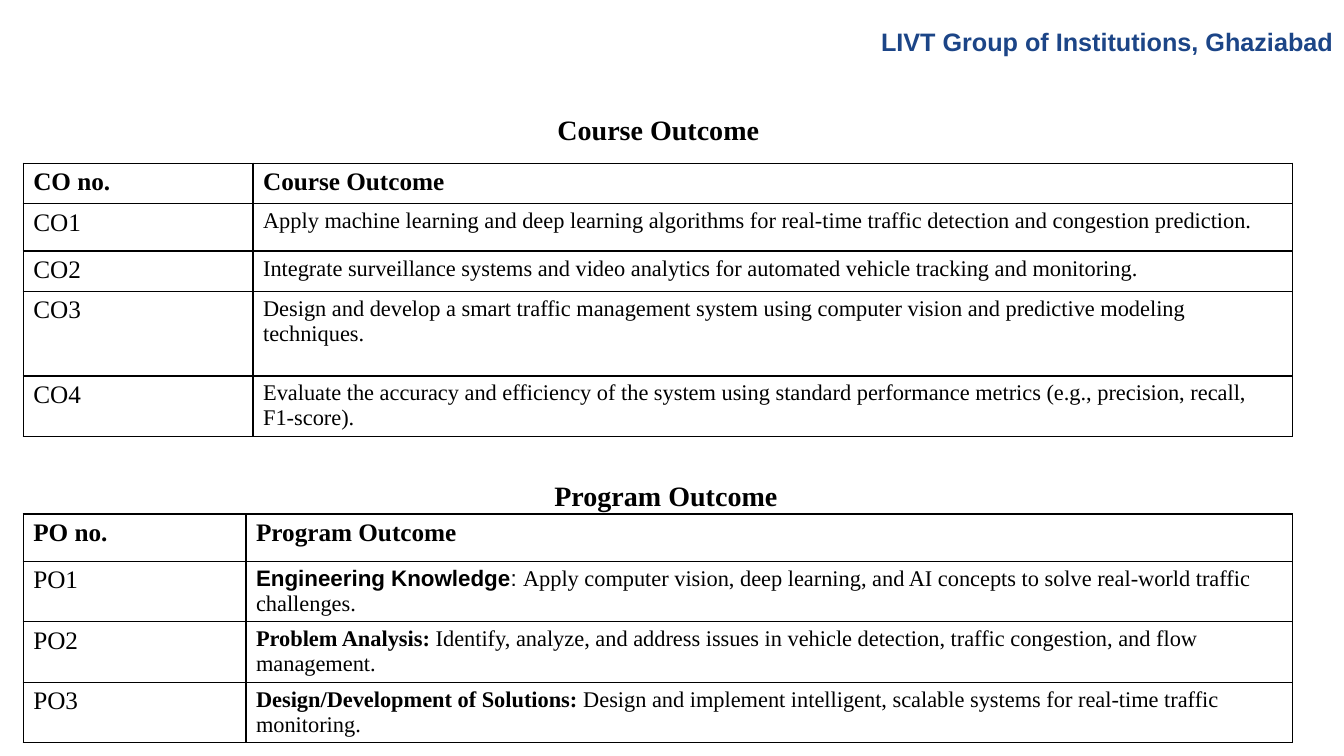
from lxml import etree
from pptx import Presentation
from pptx import util as u
from pptx.dml.color import RGBColor
from pptx.enum import text
from pptx.oxml.ns import qn

COLORS = {"ink": "000000", "paper": "FFFFFF", "brand": "1C4587"}
SERIF, SANS = "Times New Roman", "Arial"
TABLE_LEFT, TABLE_WIDTH = 0.23, 12.59

COURSE_ROWS = [
    ("CO1", [("Apply machine learning and deep learning algorithms for real-time "
              "traffic detection and congestion prediction.", {})]),
    ("CO2", [("Integrate surveillance systems and video analytics for automated "
              "vehicle tracking and monitoring.", {})]),
    ("CO3", [("Design and develop a smart traffic management system using computer "
              "vision and predictive modeling techniques.", {})]),
    ("CO4", [("Evaluate the accuracy and efficiency of the system using standard "
              "performance metrics (e.g., precision, recall, F1-score).", {})]),
]
PROGRAM_ROWS = [
    ("PO1", [("Engineering Knowledge", {"bold": True, "font": SANS}),
             (": ", {"font": SANS}),
             ("Apply computer vision, deep learning, and AI concepts to solve "
              "real-world traffic challenges.", {})]),
    ("PO2", [("Problem Analysis: ", {"bold": True}),
             ("Identify, analyze, and address issues in vehicle detection, traffic "
              "congestion, and flow management.", {})]),
    ("PO3", [("Design/Development of Solutions: ", {"bold": True}),
             ("Design and implement intelligent, scalable systems for real-time "
              "traffic monitoring.", {})]),
]


def add_run(p, words, size, bold=False, font=SERIF, color="ink"):
    r = p.add_run()
    r.text = words
    r.font.size, r.font.bold, r.font.name = u.Pt(size), bold, font
    r.font.color.rgb = RGBColor.from_string(COLORS[color])


def place_text(sp, box, words, align, **style):
    sp.left, sp.top, sp.width, sp.height = (u.Inches(v) for v in box)
    tf = sp.text_frame
    tf.word_wrap = True
    tf.auto_size = text.MSO_AUTO_SIZE.NONE
    tf.vertical_anchor = text.MSO_ANCHOR.TOP
    p = tf.paragraphs[0]
    p.alignment = align
    p.line_spacing = 1.0
    p.space_before = u.Pt(0)
    add_run(p, words, bold=True, **style)


def add_borders(cell):
    tc_pr = cell._tc.get_or_add_tcPr()
    for i, side in enumerate(("lnL", "lnR", "lnT", "lnB")):
        ln = etree.Element(qn(f"a:{side}"), w=str(u.Pt(1)))
        fill = etree.SubElement(ln, qn("a:solidFill"))
        etree.SubElement(fill, qn("a:srgbClr"), val=COLORS["ink"])
        tc_pr.insert(i, ln)


def add_outcome_table(s, top, label_width, heights, header, rows):
    frame = s.shapes.add_table(
        len(heights), 2, u.Inches(TABLE_LEFT), u.Inches(top),
        u.Inches(TABLE_WIDTH), u.Inches(sum(heights)))
    table = frame.table
    table.first_row = table.horz_banding = False
    for col, width in zip(table.columns, (label_width, TABLE_WIDTH - label_width)):
        col.width = u.Inches(width)
    for row, height in zip(table.rows, heights):
        row.height = u.Inches(height)

    for cell in table.iter_cells():
        cell.fill.solid()
        cell.fill.fore_color.rgb = RGBColor.from_string(COLORS["paper"])
        add_borders(cell)
    for cell, words in zip(table.rows[0].cells, header):
        add_run(cell.text_frame.paragraphs[0], words, 18, bold=True)
    for i, (label, runs) in enumerate(rows, start=1):
        add_run(table.cell(i, 0).text_frame.paragraphs[0], label, 18)
        p = table.cell(i, 1).text_frame.paragraphs[0]
        for words, style in runs:
            add_run(p, words, 16, **style)


def build_outcomes(prs):
    s = prs.slides.add_slide(prs.slide_layouts[5])
    center, left = text.PP_ALIGN.CENTER, text.PP_ALIGN.LEFT

    add_outcome_table(s, 1.62, 2.28, (0.4, 0.47, 0.4, 0.84, 0.6),
                      ("CO no.", "Course Outcome"), COURSE_ROWS)
    add_outcome_table(s, 5.1, 2.21, (0.47, 0.6, 0.6, 0.6),
                      ("PO no.", "Program Outcome"), PROGRAM_ROWS)

    place_text(s.shapes.title, (3.75, 1.07, 5.56, 0.44), "Course Outcome",
               center, size=20)
    new_box = s.shapes.add_textbox
    place_text(new_box(0, 0, 0, 0), (3.27, 4.7, 6.67, 0.44), "Program Outcome",
               center, size=20)
    place_text(new_box(0, 0, 0, 0), (8.64, 0.21, 4.86, 0.4),
               "LIVT Group of Institutions, Ghaziabad", left,
               size=18, font=SANS, color="brand")


def main():
    prs = Presentation()
    prs.slide_width, prs.slide_height = u.Inches(13.33), u.Inches(7.5)
    build_outcomes(prs)
    prs.save("out.pptx")


if __name__ == "__main__":
    main()
